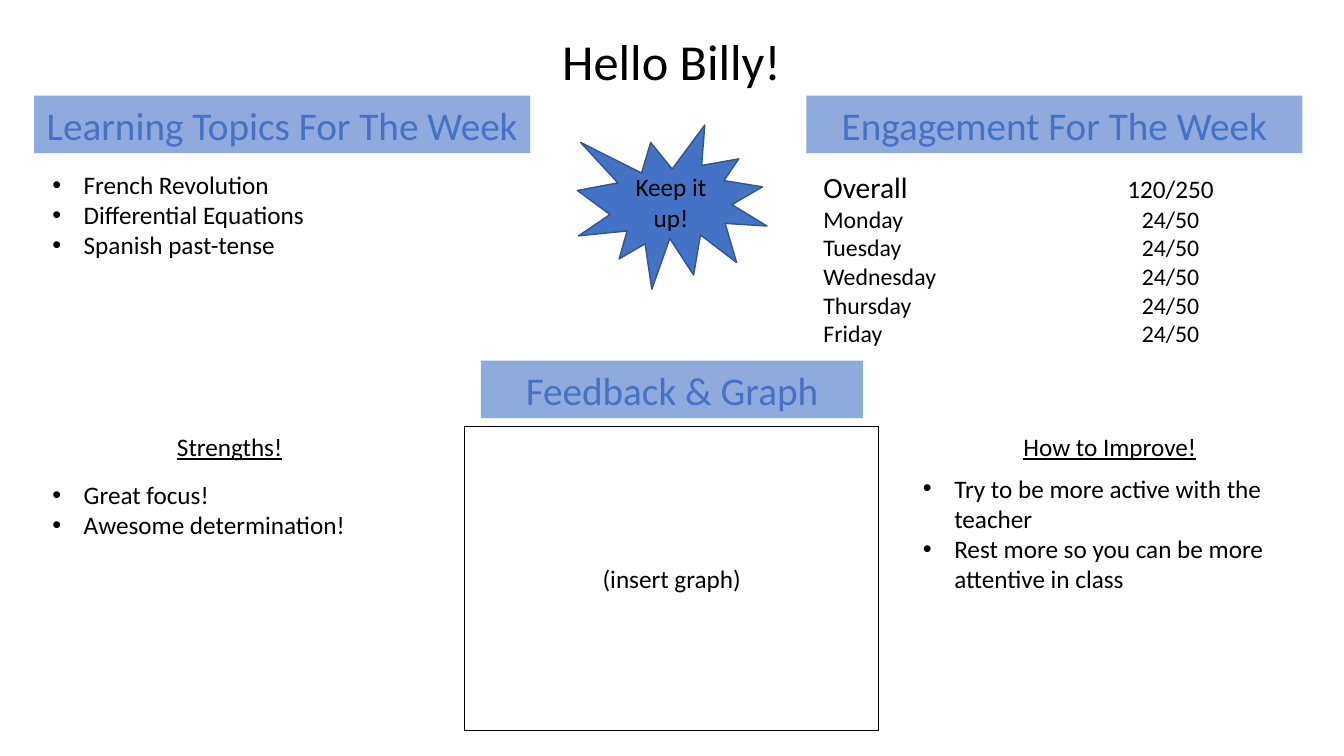
from pptx import Presentation
from pptx.dml.color import RGBColor
from pptx.enum.shapes import MSO_SHAPE as Shape
from pptx.enum.text import MSO_ANCHOR as Anchor, MSO_AUTO_SIZE as AutoSize, PP_ALIGN as Align
from pptx.oxml.ns import qn
from pptx.util import Cm, Pt
from lxml.etree import SubElement

BLACK, BLUE, NAVY, PALE = "000000", "4472C4", "325491", "8FAADC"


def colour(value):
    return RGBColor.from_string(value)


class WeeklyReport:
    font = "Calibri"
    body_size = 18
    heading_size = 28
    indent = Cm(0.79)

    def __init__(self, deck):
        self.page = deck.slides.add_slide(deck.slide_layouts[5])

    def span(self, para, text, size=body_size, ink=BLACK, underline=None):
        run = para.add_run()
        run.text = text
        run.font.name = self.font
        run.font.size = Pt(size)
        run.font.color.rgb = colour(ink)
        run.font.underline = underline

    def paras(self, box, count):
        frame = box.text_frame
        return [frame.paragraphs[0]] + [frame.add_paragraph() for _ in range(count - 1)]

    def title(self, text, left, top, width, height):
        box = self.page.shapes.title
        box.left, box.top, box.width, box.height = map(Cm, (left, top, width, height))
        frame = box.text_frame
        frame.auto_size = AutoSize.NONE
        frame.vertical_anchor = Anchor.MIDDLE
        # The text nearly fills the box, so the left margin is given up
        frame.margin_left = 0
        para = frame.paragraphs[0]
        para.alignment = Align.RIGHT
        self.span(para, text, 36)

    def text_box(self, left, top, width, height):
        box = self.page.shapes.add_textbox(*map(Cm, (left, top, width, height)))
        box.text_frame.word_wrap = True
        return box

    def shape(self, kind, text, left, top, width, height, fill=None, line=None,
              weight=1, size=body_size, ink=BLACK):
        shape = self.page.shapes.add_shape(kind, *map(Cm, (left, top, width, height)))
        shape.shadow.inherit = False
        if fill:
            shape.fill.solid()
            shape.fill.fore_color.rgb = colour(fill)
        else:
            shape.fill.background()
        if line:
            shape.line.color.rgb = colour(line)
            shape.line.width = Pt(weight)
        else:
            shape.line.fill.background()
        shape.text_frame.word_wrap = True
        shape.text_frame.vertical_anchor = Anchor.MIDDLE
        para = shape.text_frame.paragraphs[0]
        para.alignment = Align.CENTER
        self.span(para, text, size, ink)

    def banner(self, text, left, top, width):
        self.shape(Shape.RECTANGLE, text, left, top, width, 1.45, fill=PALE,
                   size=self.heading_size, ink=BLUE)

    def subheading(self, text, left):
        para = self.text_box(left, 10.74, 11.84, 1.02).text_frame.paragraphs[0]
        para.alignment = Align.CENTER
        self.span(para, text, underline=True)

    def bullets(self, items, left, top, width, height):
        box = self.text_box(left, top, width, height)
        for para, item in zip(self.paras(box, len(items)), items):
            props = para._p.get_or_add_pPr()
            props.set("marL", str(self.indent))
            props.set("indent", str(-self.indent))
            SubElement(props, qn("a:buFont")).set("typeface", "Arial")
            SubElement(props, qn("a:buChar")).set("char", "•")
            self.span(para, item)

    def scores(self, rows, left, top, width, height, tab):
        box = self.text_box(left, top, width, height)
        for para, (label, score, label_size, score_size) in zip(self.paras(box, len(rows)), rows):
            stops = SubElement(para._p.get_or_add_pPr(), qn("a:tabLst"))
            stop = SubElement(stops, qn("a:tab"))
            stop.set("pos", str(Cm(tab)))
            stop.set("algn", "ctr")
            self.span(para, label, label_size)
            self.span(para, "\t" + score, score_size)


def main():
    deck = Presentation()
    deck.slide_width, deck.slide_height = Cm(33.87), Cm(19.05)
    report = WeeklyReport(deck)

    # Greeting
    report.title("Hello Billy!", 13.92, 0.61, 6.02, 1.8)
    report.shape(Shape.EXPLOSION1, "Keep it up!", 14.55, 3.15, 4.78, 4.14,
                 fill=BLUE, line=NAVY)

    # Learning topics
    report.banner("Learning Topics For The Week", 0.86, 2.41, 12.5)
    report.bullets(["French Revolution", "Differential Equations", "Spanish past-tense"],
                   1.07, 4.14, 11.89, 2.57)

    # Engagement scores
    report.banner("Engagement For The Week", 20.32, 2.41, 12.5)
    days = ["Monday", "Tuesday", "Wednesday", "Thursday", "Friday"]
    rows = [("Overall", "120/250", 21, 18)] + [(day, "24/50", 17, 17) for day in days]
    report.scores(rows, 20.5, 4.14, 11.89, 4.78, tab=8.75)

    # Feedback and graph
    report.banner("Feedback & Graph", 12.12, 9.09, 9.63)
    report.shape(Shape.RECTANGLE, "(insert graph)", 11.71, 10.74, 10.44, 7.67,
                 line=BLACK, weight=0.75)
    report.subheading("Strengths!", -0.13)
    report.bullets(["Great focus!", "Awesome determination!"], 1.07, 11.96, 9.37, 2.57)
    report.subheading("How to Improve!", 22.05)
    report.bullets(["Try to be more active with the teacher",
                    "Rest more so you can be more attentive in class"],
                   23.01, 11.79, 9.37, 4.11)

    deck.save("out.pptx")


if __name__ == "__main__":
    main()
